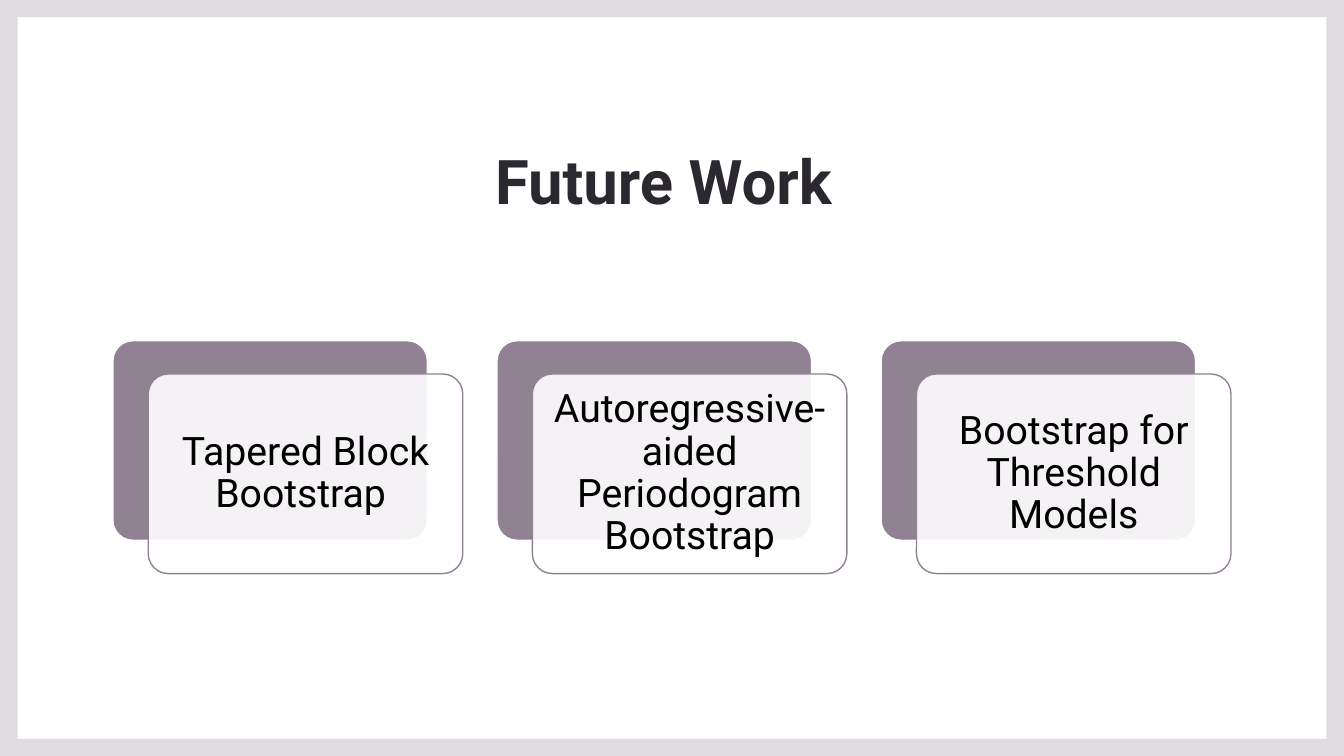
from lxml.etree import SubElement
from pptx import Presentation
from pptx.dml.color import RGBColor as Rgb
from pptx.enum.shapes import MSO_SHAPE as Kind
from pptx.enum.text import MSO_ANCHOR as Anchor, PP_ALIGN as Align
from pptx.oxml.ns import qn
from pptx.util import Inches, Pt

WIDE, HIGH = Inches(13.33), Inches(7.5)
HUES = {"rim": "E0DCE1", "plum": "908193", "white": "FFFFFF",
        "ink": "2C2830", "black": "000000"}
TOPICS = ["Tapered Block Bootstrap ",
          "Autoregressive-aided Periodogram Bootstrap",
          "Bootstrap for Threshold Models"]

# Card grid, in percent of the slide's width and height
LEFT, TOP, STEP = 8.4, 45.07, 28.58
CARD = (23.4, 26.4)
SHIFT = (2.63, 4.4)
PAD = (0.45, 0.8)


def hue(name):
    return Rgb.from_string(HUES[name])


def across(share):
    return round(WIDE * share / 100)


def down(share):
    return round(HIGH * share / 100)


def area(x, y, w, h):
    return across(x), down(y), across(w), down(h)


def add_rim(slide, x, y):
    """Draw a border around the slide, x and y percent thick."""
    inner = [(x, y), (x, 100 - y), (100 - x, 100 - y), (100 - x, y)]
    outer = [(0, 0), (100, 0), (100, 100), (0, 100)]
    hole, edge = ([(across(a), down(b)) for a, b in ring]
                  for ring in (inner, outer))
    pen = slide.shapes.build_freeform(*hole[0])
    pen.add_line_segments(hole[1:], close=True)
    pen.move_to(*edge[0])
    pen.add_line_segments(edge[1:], close=True)
    rim = pen.convert_to_shape()
    rim.shadow.inherit = False
    rim.fill.solid()
    rim.fill.fore_color.rgb = hue("rim")
    rim.line.fill.background()


def add_text(slide, box, text, look, space, anchor, inset=None):
    frame = slide.shapes.add_textbox(*box).text_frame
    frame.word_wrap = True
    frame.vertical_anchor = anchor
    if inset is not None:
        for side in ("left", "top", "right", "bottom"):
            setattr(frame, f"margin_{side}", inset)
    para = frame.paragraphs[0]
    para.alignment = Align.CENTER
    para.line_spacing = space
    run = para.add_run()
    run.text = text
    for key, value in look["font"].items():
        setattr(run.font, key, value)
    run.font.color.rgb = hue(look["hue"])


def add_card(slide, box, fill, line, alpha=None):
    card = slide.shapes.add_shape(Kind.ROUNDED_RECTANGLE, *box)
    card.adjustments[0] = 0.1
    card.shadow.inherit = False
    card.fill.solid()
    card.fill.fore_color.rgb = hue(fill)
    card.line.color.rgb = hue(line)
    card.line.width = Pt(1)
    if alpha is not None:
        tint = card.fill._xPr.find(qn("a:solidFill"))[0]
        SubElement(tint, qn("a:alpha"), val=str(alpha * 1000))


def add_topic(slide, x, y, text):
    """Stack a plum card, a sheer card and the label."""
    w, h = CARD
    add_card(slide, area(x, y, w, h), "plum", "white")
    x, y = x + SHIFT[0], y + SHIFT[1]
    add_card(slide, area(x, y, w, h), "white", "plum", alpha=90)
    px, py = PAD
    look = {"font": {"name": "Roboto", "size": Pt(28)}, "hue": "black"}
    add_text(slide, area(x + px, y + py, w - 2 * px, h - 2 * py), text,
             look, 0.9, Anchor.MIDDLE, Inches(0.12))


def main():
    deck = Presentation()
    deck.slide_width, deck.slide_height = WIDE, HIGH
    slide = deck.slides.add_slide(deck.slide_layouts[6])

    # Border and title
    add_rim(slide, 1.31, 2.27)
    look = {"font": {"name": "Roboto", "size": Pt(44), "bold": True},
            "hue": "ink"}
    add_text(slide, area(LEFT, 10.53, 83.1, 18.8), "Future Work ",
             look, 1.1, Anchor.BOTTOM)

    # Row of topics
    for i, text in enumerate(TOPICS):
        add_topic(slide, LEFT + i * STEP, TOP, text)

    deck.save("out.pptx")


if __name__ == "__main__":
    main()
